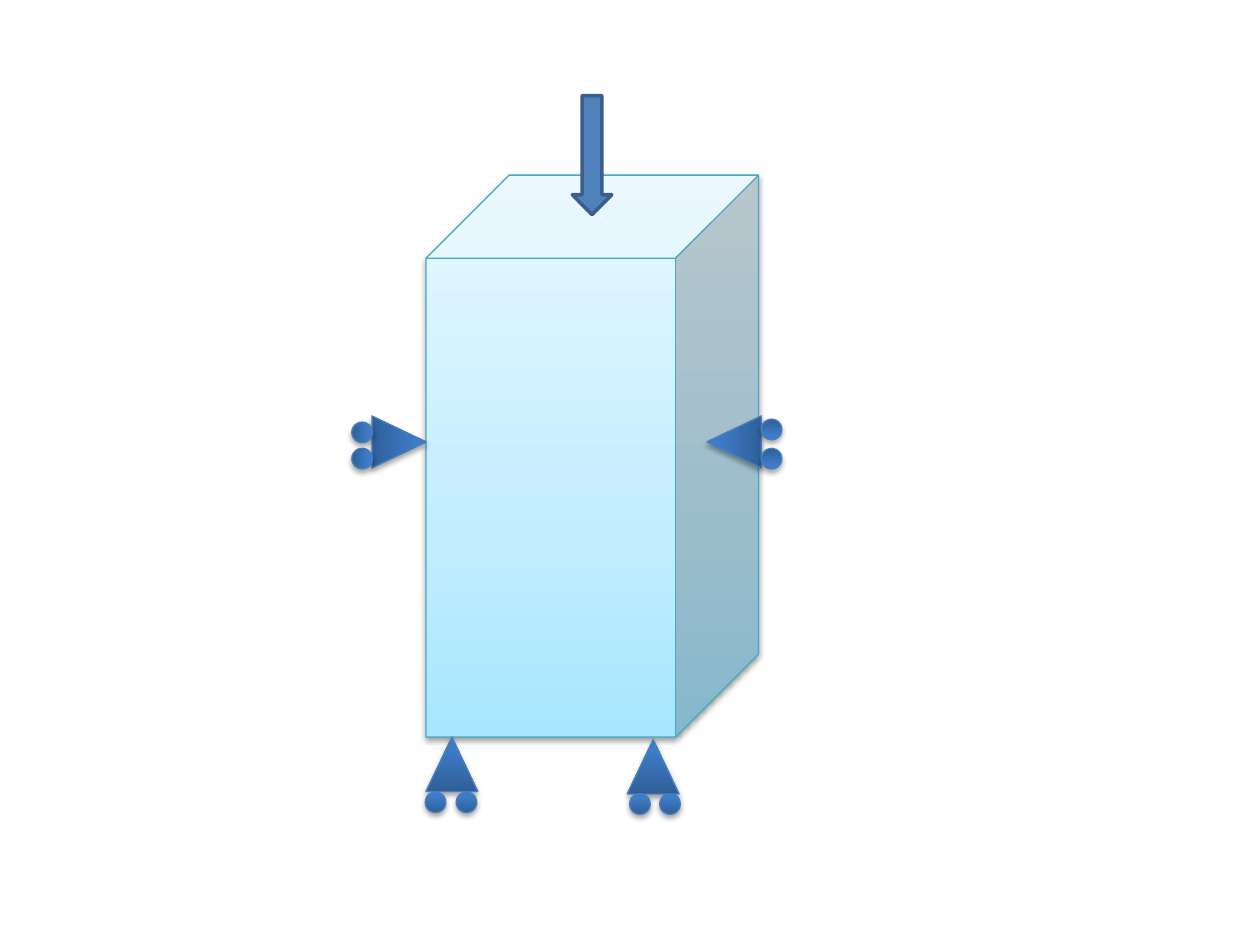
from lxml.etree import SubElement
from pptx import Presentation
from pptx.dml.color import RGBColor
from pptx.enum.shapes import MSO_SHAPE
from pptx.oxml.ns import qn
from pptx.util import Pt


def color(value):
    return RGBColor.from_string(value)


def add_raised_shape(kind, left, top, width, height, look, rotation=0):
    """Add a shape with a bottom-to-top gradient and a soft shadow below it."""
    shape = page.shapes.add_shape(kind, Pt(left), Pt(top), Pt(width), Pt(height))
    shape.rotation = rotation
    shape.line.color.rgb = color(look["line"])
    shape.line.width = Pt(0.75)

    shape.fill.gradient()
    shape.fill.gradient_angle = 90
    stops = shape._element.spPr.find(".//" + qn("a:gsLst"))
    for stop in list(stops):
        stops.remove(stop)
    for percent, value in look["stops"]:
        stop = SubElement(stops, qn("a:gs"), pos=str(percent * 1000))
        SubElement(stop, qn("a:srgbClr"), val=value)

    shape.shadow.inherit = False
    effects = shape._element.spPr.find(qn("a:effectLst"))
    shadow = SubElement(effects, qn("a:outerShdw"), blurRad=str(Pt(3.1)),
                        dist=str(Pt(look["distance"])), dir="5400000", rotWithShape="0")
    shade = SubElement(shadow, qn("a:srgbClr"), val="000000")
    SubElement(shade, qn("a:alpha"), val=str(look["opacity"] * 1000))


BLOCK = {"line": "46AAC5", "opacity": 38, "distance": 1.6,
         "stops": [(0, "A7E6FF"), (35, "C1EDFF"), (100, "E7F8FF")]}
SUPPORT = {"line": "4B7EBC", "opacity": 35, "distance": 1.8,
           "stops": [(0, "2F5F99"), (80, "3D7CC7"), (100, "3A7CCB")]}
WEDGE_WIDTH, WEDGE_HEIGHT, ROLLER = 29.7, 31.1, 11.8

deck = Presentation()
deck.slide_width, deck.slide_height = Pt(720), Pt(540)
page = deck.slides.add_slide(deck.slide_layouts[6])

add_raised_shape(MSO_SHAPE.CUBE, 243.4, 100.1, 190.1, 321.1, BLOCK)

# Each support: rotation, wedge corner, corners of its two rollers
supports = [
    (0, (243.4, 421.2), [(243, 452.6), (260.7, 452.6)]),
    (0, (358.4, 422.6), [(359.8, 453.6), (377, 453.6)]),
    (270, (404.6, 237), [(435, 256.2), (435, 239.5)]),
    (90, (213.2, 237), [(201, 256.2), (201, 241.2)]),
]
for rotation, wedge, rollers in supports:
    add_raised_shape(MSO_SHAPE.ISOSCELES_TRIANGLE, *wedge,
                     WEDGE_WIDTH, WEDGE_HEIGHT, SUPPORT, rotation)
    roller_rotation = 180 if rotation == 270 else rotation
    for roller in rollers:
        add_raised_shape(MSO_SHAPE.FLOWCHART_CONNECTOR, *roller,
                         ROLLER, ROLLER, SUPPORT, roller_rotation)

load = page.shapes.add_shape(MSO_SHAPE.DOWN_ARROW, Pt(327), Pt(54.6), Pt(22.6), Pt(68))
load.shadow.inherit = False
load.fill.solid()
load.fill.fore_color.rgb = color("4F81BD")
load.line.color.rgb = color("3A5F8C")
load.line.width = Pt(2)

deck.save("out.pptx")
